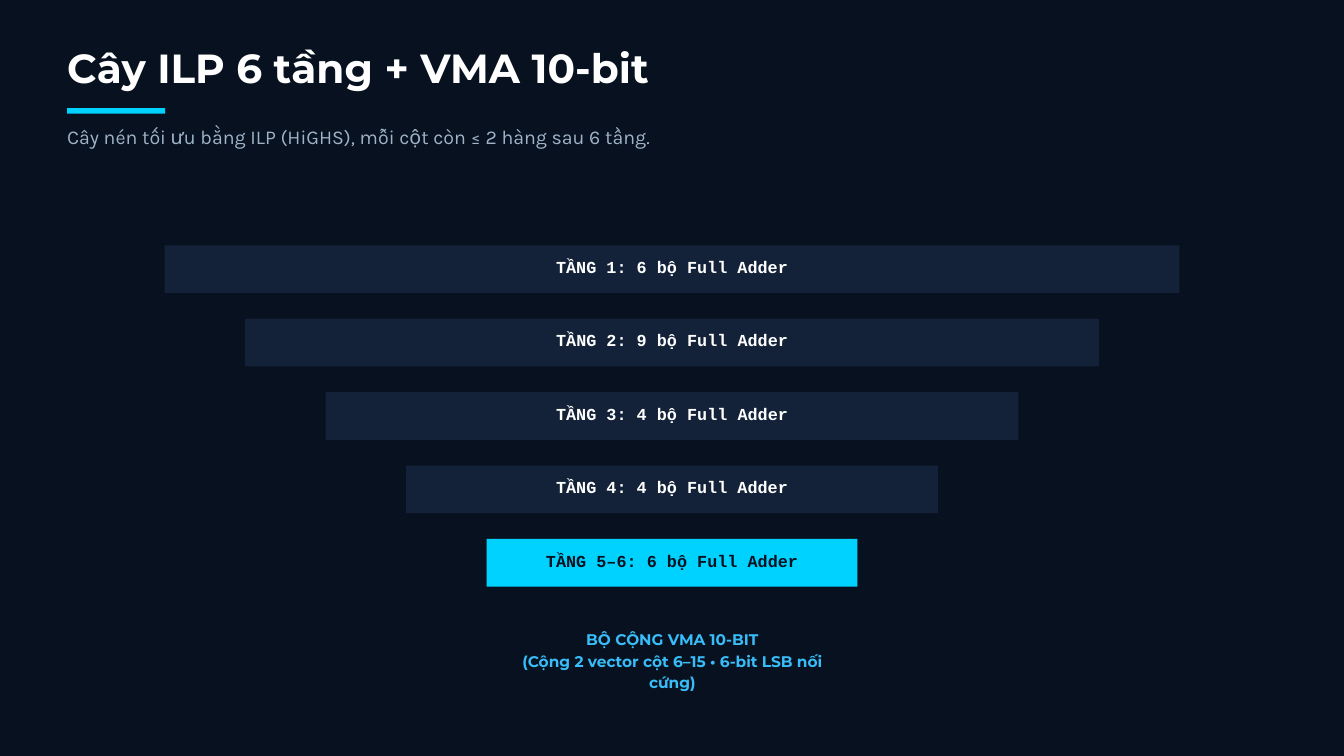
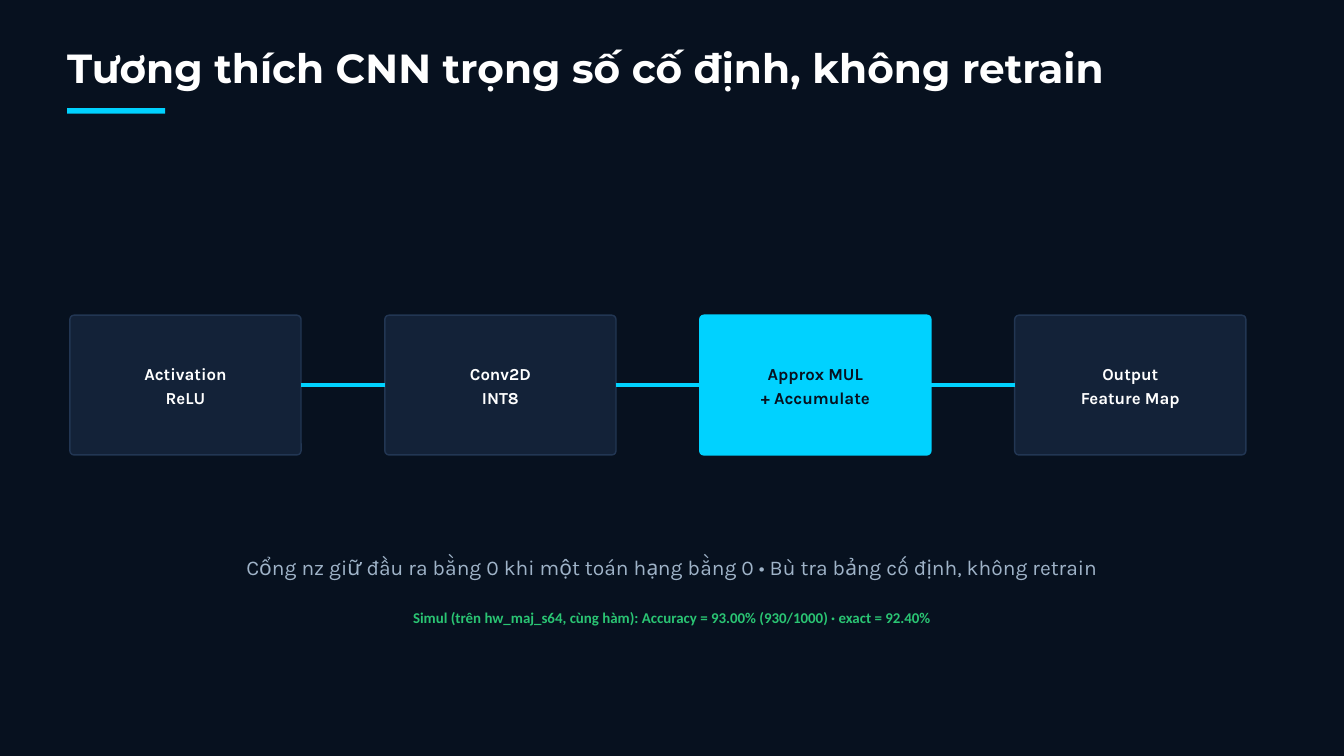
from lxml import etree
from pptx import Presentation
from pptx.dml.color import RGBColor
from pptx.enum.shapes import MSO_CONNECTOR, MSO_SHAPE
from pptx.enum.text import MSO_ANCHOR, MSO_AUTO_SIZE, PP_ALIGN
from pptx.oxml.ns import qn
from pptx.util import Inches, Pt

RECT, ROUND = MSO_SHAPE.RECTANGLE, MSO_SHAPE.ROUNDED_RECTANGLE
LINE = MSO_CONNECTOR.STRAIGHT
TOP, MIDDLE = MSO_ANCHOR.TOP, MSO_ANCHOR.MIDDLE
LEFT, CENTER = PP_ALIGN.LEFT, PP_ALIGN.CENTER
FIXED = MSO_AUTO_SIZE.NONE
LINK_RIGHT, LINK_LEFT = 3, 1

NIGHT, PANEL, EDGE = "07111F", "132238", "223653"
CYAN, SKY, GREEN = "00D2FF", "38BDF8", "2AC473"
WHITE, MUTED = "FFFFFF", "9FB3C8"
HEAD, BODY, CODE, NOTE = "Montserrat", "Karla", "Courier New", "Calibri"

TIERS = [
    "TẦNG 1: 6 bộ Full Adder",
    "TẦNG 2: 9 bộ Full Adder",
    "TẦNG 3: 4 bộ Full Adder",
    "TẦNG 4: 4 bộ Full Adder",
    "TẦNG 5–6: 6 bộ Full Adder",
]
STEPS = [
    ("Activation", "ReLU"),
    ("Conv2D", "INT8"),
    ("Approx MUL", "+ Accumulate"),
    ("Output", "Feature Map"),
]
KEY_STEP = 2


def paint(fmt, color):
    """Give a fill one solid colour."""
    fmt.solid()
    fmt.fore_color.rgb = RGBColor.from_string(color)


def write(shape, lines, size, color, font, bold=False, align=CENTER,
          pitch=None, anchor=TOP, pad=(0, 0, 0, 0)):
    """Fill a shape with paragraphs; pad runs left, top, right, bottom."""
    frame = shape.text_frame
    frame.word_wrap = True
    frame.auto_size = FIXED
    frame.vertical_anchor = anchor
    (frame.margin_left, frame.margin_top,
     frame.margin_right, frame.margin_bottom) = map(Inches, pad)
    for i, line in enumerate(lines):
        para = frame.add_paragraph() if i else frame.paragraphs[0]
        para.alignment = align
        if pitch:
            para.line_spacing = Pt(pitch)
        run = para.add_run()
        run.text = line
        run.font.size = Pt(size)
        run.font.name = font
        run.font.bold = bold
        run.font.color.rgb = RGBColor.from_string(color)


def add_text(slide, box, lines, *style, **more):
    shape = slide.shapes.add_textbox(*map(Inches, box))
    write(shape, lines, *style, **more)


def add_block(slide, kind, box, fill, edge=None):
    shape = slide.shapes.add_shape(kind, *map(Inches, box))
    shape.shadow.inherit = False
    paint(shape.fill, fill)
    if edge:
        paint(shape.line.fill, edge)
        shape.line.width = Pt(1.5)
    else:
        shape.line.fill.background()
    return shape


def add_link(slide, start, end):
    """Join the right side of one block to the left side of the next."""
    link = slide.shapes.add_connector(LINE, 0, 0, 0, 0)
    link.begin_connect(start, LINK_RIGHT)
    link.end_connect(end, LINK_LEFT)
    paint(link.line.fill, CYAN)
    link.line.width = Pt(3.75)
    etree.SubElement(link._element.spPr, qn("a:effectLst"))


def add_page(deck, title):
    """Add a slide with its title and the accent bar below."""
    slide = deck.slides.add_slide(deck.slide_layouts.get_by_name("Title Only"))
    head = slide.shapes.title
    head.left, head.top, head.width, head.height = map(
        Inches, (1, 0.71, 18, 0.66))
    write(head, [title], 43.5, WHITE, HEAD, bold=True, align=LEFT, pitch=47)
    add_block(slide, RECT, (1, 1.61, 1.46, 0.08), CYAN)
    return slide


def add_funnel(slide, box, tip):
    """Stack centred bars that narrow evenly from the box width to tip."""
    left, top, width, height = box
    bar, last = 0.71, len(TIERS) - 1
    for i, label in enumerate(TIERS):
        wide = width - (width - tip) * i / last
        x = left + (width - wide) / 2
        y = top + (height - bar) * i / last
        fill, ink = (CYAN, NIGHT) if i == last else (PANEL, WHITE)
        shape = add_block(slide, RECT, (x, y, wide, bar), fill)
        write(shape, [label], 18, ink, CODE, bold=True, pitch=25.2,
              pad=(0, 0.12, 0, 0))


def add_flow(slide, box):
    """Spread the steps across the box and link each to the next."""
    left, top, width, height = box
    wide = 3.44
    pitch = (width - wide) / (len(STEPS) - 1)
    prior = None
    for i, lines in enumerate(STEPS):
        key = i == KEY_STEP
        fill, edge, ink = (CYAN, CYAN, NIGHT) if key else (PANEL, EDGE, WHITE)
        step = add_block(slide, ROUND, (left + pitch * i, top, wide, height),
                         fill, edge)
        step.adjustments[0] = 0.03
        write(step, lines, 18, ink, BODY, bold=True, pitch=25.2,
              anchor=MIDDLE, pad=(0.06, 0.06, 0.06, 0.09))
        if prior:
            add_link(slide, prior, step)
        prior = step


def add_tree(deck):
    slide = add_page(deck, "Cây ILP 6 tầng + VMA 10-bit")
    add_text(slide, (1, 1.82, 15.62, 0.38),
             ["Cây nén tối ưu bằng ILP (HiGHS), mỗi cột còn ≤ 2 hàng sau 6 tầng."],
             21, MUTED, BODY, align=LEFT, pitch=28.4)
    add_funnel(slide, (2.45, 3.65, 15.1, 5.08), 5.52)
    add_text(slide, (7.4, 9.33, 5.21, 0.93),
             ["BỘ CỘNG VMA 10-BIT",
              "(Cộng 2 vector cột 6–15 • 6-bit LSB nối cứng)"],
             16.5, SKY, HEAD, bold=True, pitch=23.1)


def add_network(deck):
    slide = add_page(deck, "Tương thích CNN trọng số cố định, không retrain")
    add_flow(slide, (1.04, 4.69, 17.5, 2.08))
    add_text(slide, (2.6, 8.19, 14.79, 0.42),
             ["Cổng nz giữ đầu ra bằng 0 khi một toán hạng bằng 0"
              " • Bù tra bảng cố định, không retrain"],
             22.5, MUTED, BODY, pitch=31.5)
    add_text(slide, (3, 9, 14, 1.57),
             ["Simul (trên hw_maj_s64, cùng hàm): "
              "Accuracy = 93.00% (930/1000) · exact = 92.40%"],
             16, GREEN, NOTE, bold=True, pad=(0.1, 0.05, 0.1, 0.05))


def main():
    deck = Presentation()
    deck.slide_width, deck.slide_height = Inches(20), Inches(11.25)
    paint(deck.slide_master.background.fill, NIGHT)
    add_tree(deck)
    add_network(deck)
    deck.save("out.pptx")


if __name__ == "__main__":
    main()
